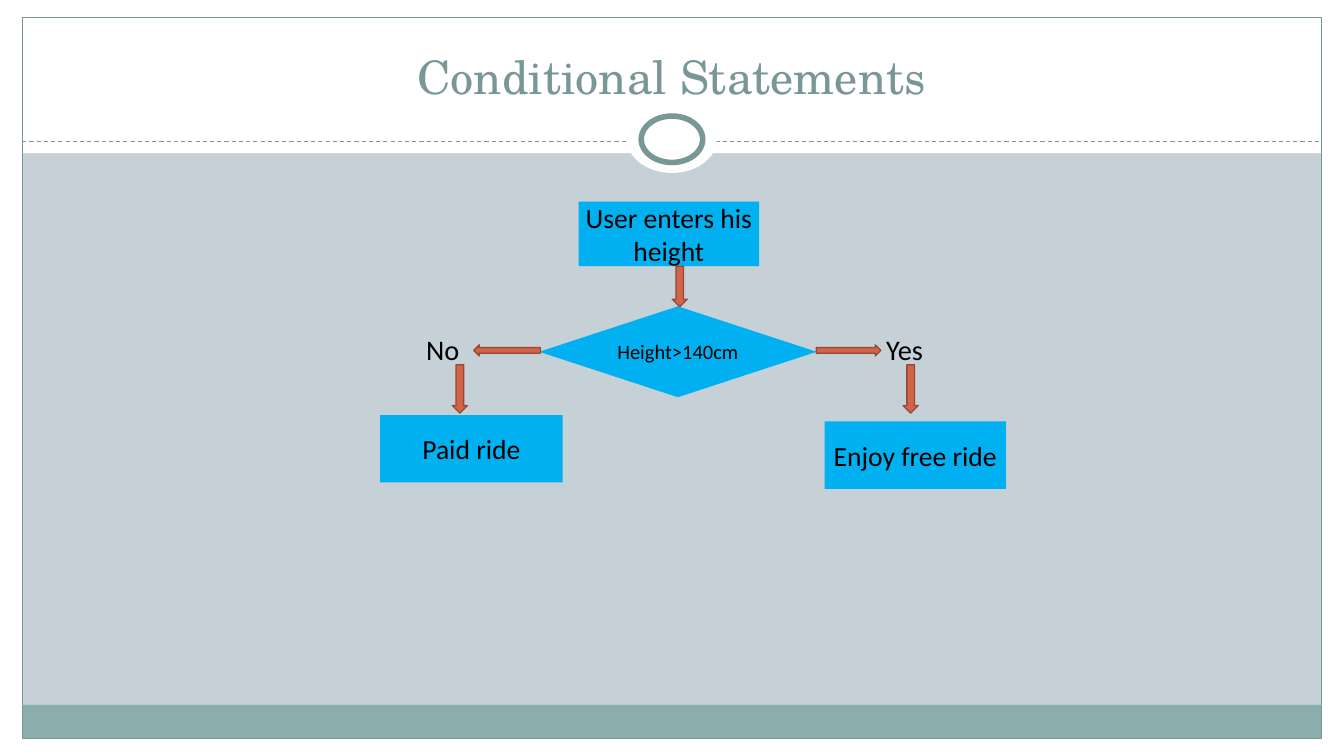
"""Build a slide with a flowchart that explains conditional statements."""
from pptx import Presentation
from pptx.dml.color import RGBColor
from pptx.enum.dml import MSO_LINE
from pptx.enum.shapes import MSO_CONNECTOR, MSO_SHAPE as Preset
from pptx.enum.text import MSO_ANCHOR as Anchor, PP_ALIGN as Align
from pptx.oxml.ns import qn
from pptx.util import Cm, Pt
from lxml.etree import SubElement

WHITE = RGBColor(0xFF, 0xFF, 0xFF)
BLACK = RGBColor(0, 0, 0)
PALE = RGBColor(0xC5, 0xD1, 0xD7)
SAGE = RGBColor(0x8C, 0xAD, 0xAE)
TEAL = RGBColor(0x7A, 0x97, 0x98)
BLUE = RGBColor(0x00, 0xB0, 0xF0)
RUST = RGBColor(0xD1, 0x63, 0x49)
BROWN = RGBColor(0x98, 0x48, 0x35)

WIDTH, HEIGHT = 33.87, 19.05
SIDE, EDGE = 0.56, 0.43
HEADER, FOOTER = 3.86, 0.86
RULE_Y = 3.56
RING_CENTRE = (WIDTH / 2, 3.51)

TITLE = ("Conditional Statements", (5.08, 0.64, 23.7, 2.11))
STEPS = [
    ("User enters his height", Preset.RECTANGLE, (14.58, 5.08, 4.55, 1.63), 19.7),
    ("Height>140cm", Preset.DIAMOND, (13.59, 7.72, 6.99, 2.29), 14.6),
    ("Enjoy free ride", Preset.RECTANGLE, (20.78, 10.62, 4.57, 1.7), 19.7),
    ("Paid ride", Preset.RECTANGLE, (9.58, 10.46, 4.6, 1.7), 19.7),
]
ANSWERS = [
    ("Yes", (22.33, 8.38, 1.17, 0.86)),
    ("No", (10.74, 8.36, 1.17, 0.86)),
]
ARROWS = [
    (Preset.DOWN_ARROW, (16.94, 6.71, 0.38, 1.02)),
    (Preset.RIGHT_ARROW, (20.57, 8.69, 1.63, 0.28)),
    (Preset.DOWN_ARROW, (22.76, 9.19, 0.38, 1.22)),
    (Preset.LEFT_ARROW, (11.94, 8.69, 1.68, 0.28)),
    (Preset.DOWN_ARROW, (11.4, 9.19, 0.38, 1.22)),
]


def lengths(box):
    return [Cm(value) for value in box]


def add_preset(slide, preset, box, fill=None, line=None, weight=0.75):
    shape = slide.shapes.add_shape(preset, *lengths(box))
    shape.shadow.inherit = False
    if fill is None:
        shape.fill.background()
    else:
        shape.fill.solid()
        shape.fill.fore_color.rgb = fill
    if line is None:
        shape.line.fill.background()
    else:
        shape.line.color.rgb = line
        shape.line.width = Pt(weight)
    return shape


def write(shape, text, size, align=Align.CENTER, font="Calibri", color=BLACK,
          anchor=Anchor.MIDDLE, inset=(0, 0)):
    frame = shape.text_frame
    frame.word_wrap = True
    frame.vertical_anchor = anchor
    frame.margin_left = frame.margin_right = Cm(inset[0])
    frame.margin_top = frame.margin_bottom = Cm(inset[1])
    paragraph = frame.paragraphs[0]
    paragraph.text = text
    paragraph.alignment = align
    paragraph.font.name = font
    paragraph.font.size = Pt(size)
    paragraph.font.color.rgb = color


def add_frame(slide):
    slide.background.fill.solid()
    slide.background.fill.fore_color.rgb = PALE
    inner = WIDTH - 2 * SIDE
    borders = [
        (0, HEIGHT - EDGE, WIDTH, EDGE),
        (0, 0, WIDTH, HEADER),
        (0, 0, SIDE, HEIGHT),
        (WIDTH - SIDE, 0, SIDE, HEIGHT),
    ]
    for box in borders:
        add_preset(slide, Preset.RECTANGLE, box, WHITE)
    add_preset(slide, Preset.RECTANGLE,
               (SIDE, HEIGHT - EDGE - FOOTER, inner, FOOTER), SAGE)
    add_preset(slide, Preset.RECTANGLE,
               (SIDE, EDGE, inner, HEIGHT - 2 * EDGE), line=TEAL)

    rule = slide.shapes.add_connector(
        MSO_CONNECTOR.STRAIGHT, *lengths((SIDE, RULE_Y, WIDTH - SIDE, RULE_Y)))
    rule.line.color.rgb = TEAL
    rule.line.width = Pt(0.75)
    rule.line.dash_style = MSO_LINE.DASH
    SubElement(rule.element.spPr, qn("a:effectLst"))

    x, y = RING_CENTRE
    for width, height, line in [(2.26, 1.7, None), (1.55, 1.17, TEAL)]:
        add_preset(slide, Preset.OVAL,
                   (x - width / 2, y - height / 2, width, height), WHITE, line, 4)


def main():
    presentation = Presentation()
    presentation.slide_width, presentation.slide_height = Cm(WIDTH), Cm(HEIGHT)
    slide = presentation.slides.add_slide(presentation.slide_layouts[6])
    add_frame(slide)

    for text, preset, box, size in STEPS:
        write(add_preset(slide, preset, box, BLUE), text, size)
    for text, box in ANSWERS:
        write(slide.shapes.add_textbox(*lengths(box)), text, 20.2, Align.LEFT)
    text, box = TITLE
    write(slide.shapes.add_textbox(*lengths(box)), text, 33, font="TeX Gyre Schola",
          color=TEAL, anchor=Anchor.BOTTOM, inset=(0.25, 0.13))
    for preset, box in ARROWS:
        add_preset(slide, preset, box, RUST, BROWN, 0.9)

    presentation.save("out.pptx")


if __name__ == "__main__":
    main()
